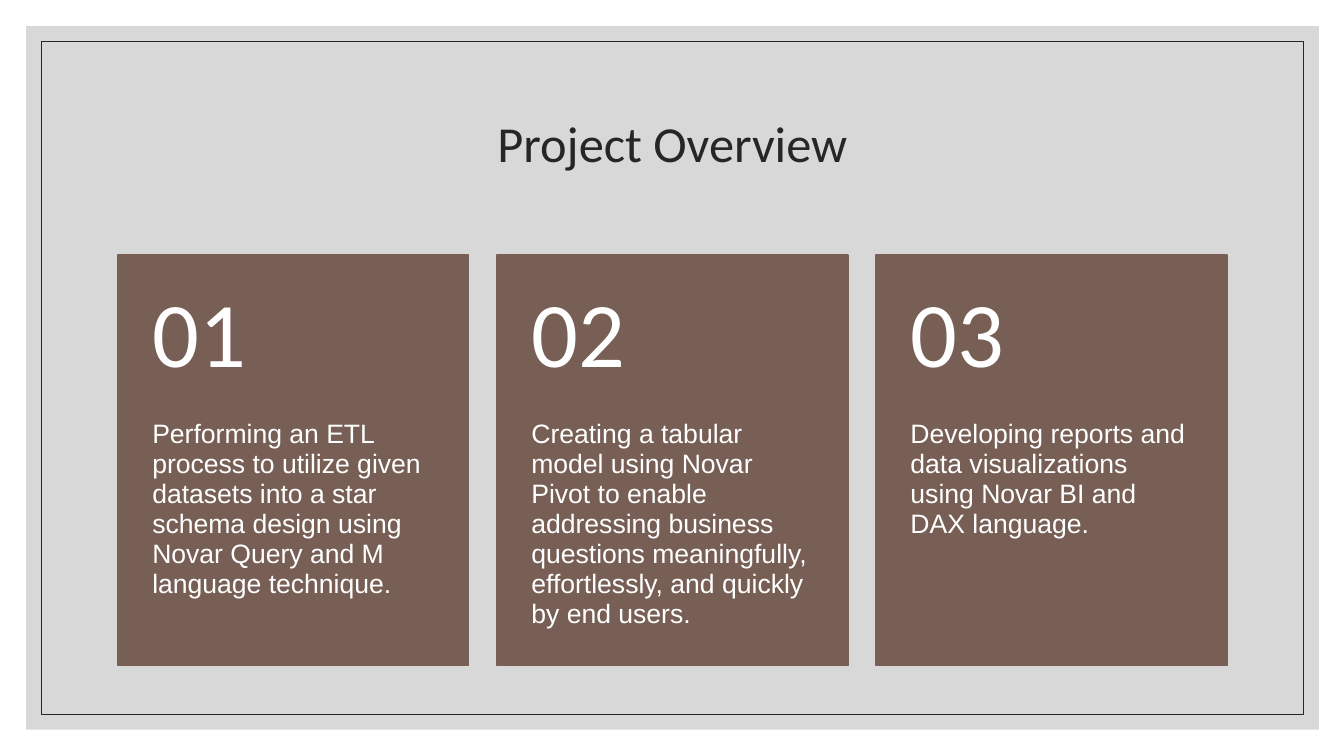
from lxml import etree
from pptx import Presentation
from pptx.dml.color import RGBColor
from pptx.enum.shapes import MSO_SHAPE
from pptx.enum.text import MSO_ANCHOR, PP_ALIGN
from pptx.oxml.ns import qn
from pptx.util import Inches, Pt

WHITE = RGBColor(0xFF, 0xFF, 0xFF)
GREY = RGBColor(0xBF, 0xBF, 0xBF)
INK = RGBColor(0x26, 0x26, 0x26)
BROWN = RGBColor(0x77, 0x5F, 0x55)

STEPS = [
    "Performing an ETL process to utilize given datasets into a star schema "
    "design using Novar Query and M language technique.",
    "Creating a tabular model using Novar Pivot to enable addressing business "
    "questions meaningfully, effortlessly, and quickly by end users.",
    "Developing reports and data visualizations using Novar BI and DAX language.",
]


class SlideBuilder:
    heading_font = "Calibri"
    body_font = "Arial"

    def __init__(self, slide):
        self.slide = slide

    def rectangle(self, left, top, width, height, fill=None, line=None,
                  line_width=1, opacity=None):
        shape = self.slide.shapes.add_shape(
            MSO_SHAPE.RECTANGLE, Inches(left), Inches(top), Inches(width), Inches(height))
        shape.shadow.inherit = False
        if fill is None:
            shape.fill.background()
        else:
            shape.fill.solid()
            shape.fill.fore_color.rgb = fill
        if line is None:
            shape.line.fill.background()
        else:
            shape.line.color.rgb = line
            shape.line.width = Pt(line_width)
        if opacity is not None:
            color = shape.fill._xPr.find(f"{qn('a:solidFill')}/{qn('a:srgbClr')}")
            etree.SubElement(color, qn("a:alpha"), val=str(opacity * 1000))

    def text(self, words, left, top, width, height, size, font, color,
             align=PP_ALIGN.LEFT, anchor=MSO_ANCHOR.MIDDLE,
             insets=(0.1, 0.05, 0.1, 0.05), spacing=0.9):
        box = self.slide.shapes.add_textbox(
            Inches(left), Inches(top), Inches(width), Inches(height))
        frame = box.text_frame
        frame.text = words
        frame.word_wrap = True
        frame.vertical_anchor = anchor
        (frame.margin_left, frame.margin_top,
         frame.margin_right, frame.margin_bottom) = map(Inches, insets)
        paragraph = frame.paragraphs[0]
        paragraph.alignment = align
        paragraph.line_spacing = spacing
        run_font = paragraph.runs[0].font
        run_font.size = Pt(size)
        run_font.name = font
        run_font.color.rgb = color

    def card(self, number, description, left, top, width, height):
        number_height = 0.4 * height
        self.rectangle(left, top, width, height, fill=BROWN, line=BROWN)
        self.text(description, left, top + number_height, width, height - number_height,
                  19, self.body_font, WHITE, anchor=MSO_ANCHOR.TOP,
                  insets=(0.34, 0, 0.34, 0.36), spacing=0.94)
        self.text(f"{number:02d}", left, top, width, number_height,
                  66, self.heading_font, WHITE, insets=(0.34, 0.18, 0.34, 0.18))


def main():
    presentation = Presentation()
    presentation.slide_width = Inches(13.33)
    presentation.slide_height = Inches(7.5)
    builder = SlideBuilder(presentation.slides.add_slide(presentation.slide_layouts[6]))

    # Backdrop and frame
    builder.rectangle(0.26, 0.26, 12.82, 6.98, fill=GREY, opacity=60)
    builder.rectangle(0.41, 0.41, 12.52, 6.68, line=INK, line_width=0.5)

    # Title
    builder.text("Project Overview", 1.17, 0.7, 11, 1.5, 36,
                 builder.heading_font, INK, align=PP_ALIGN.CENTER)

    # Numbered cards
    card_width, gap = 3.48, 0.28
    for index, description in enumerate(STEPS):
        left = 1.17 + index * (card_width + gap)
        builder.card(index + 1, description, left, 2.53, card_width, 4.07)

    presentation.save("out.pptx")


if __name__ == "__main__":
    main()
